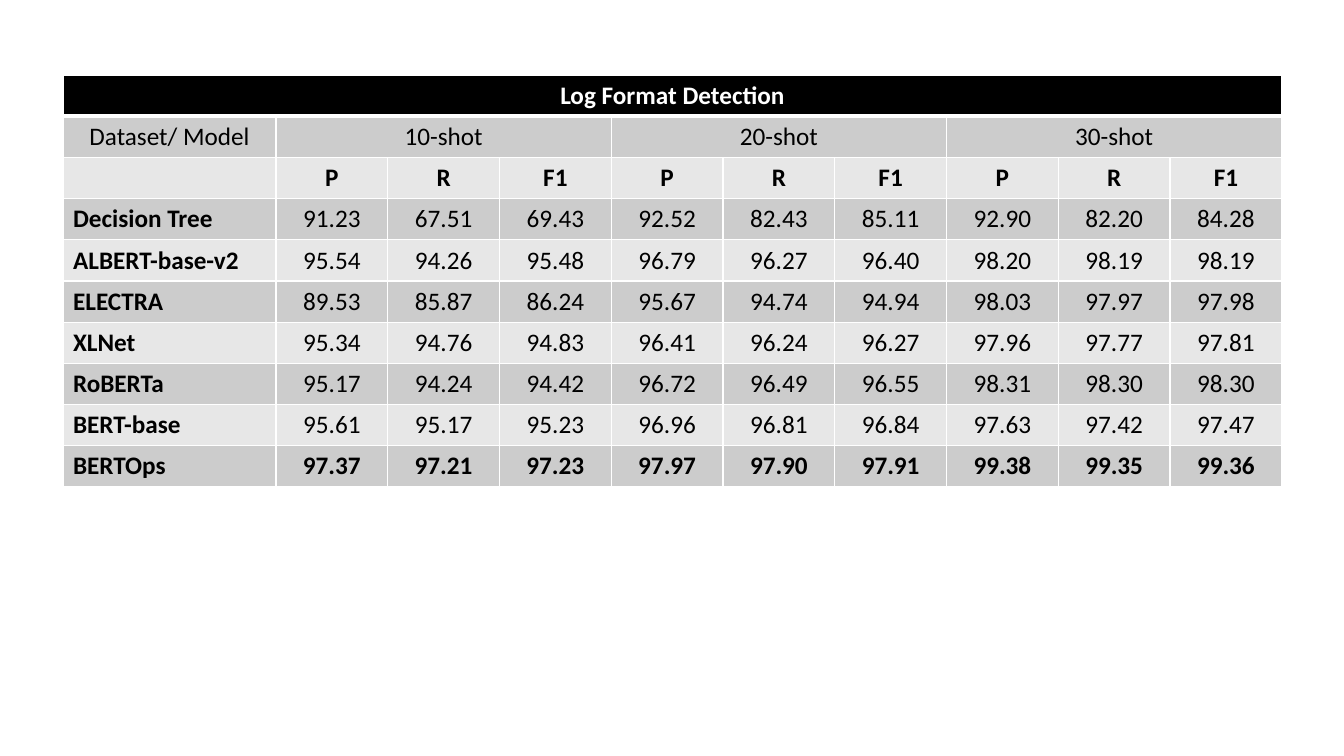
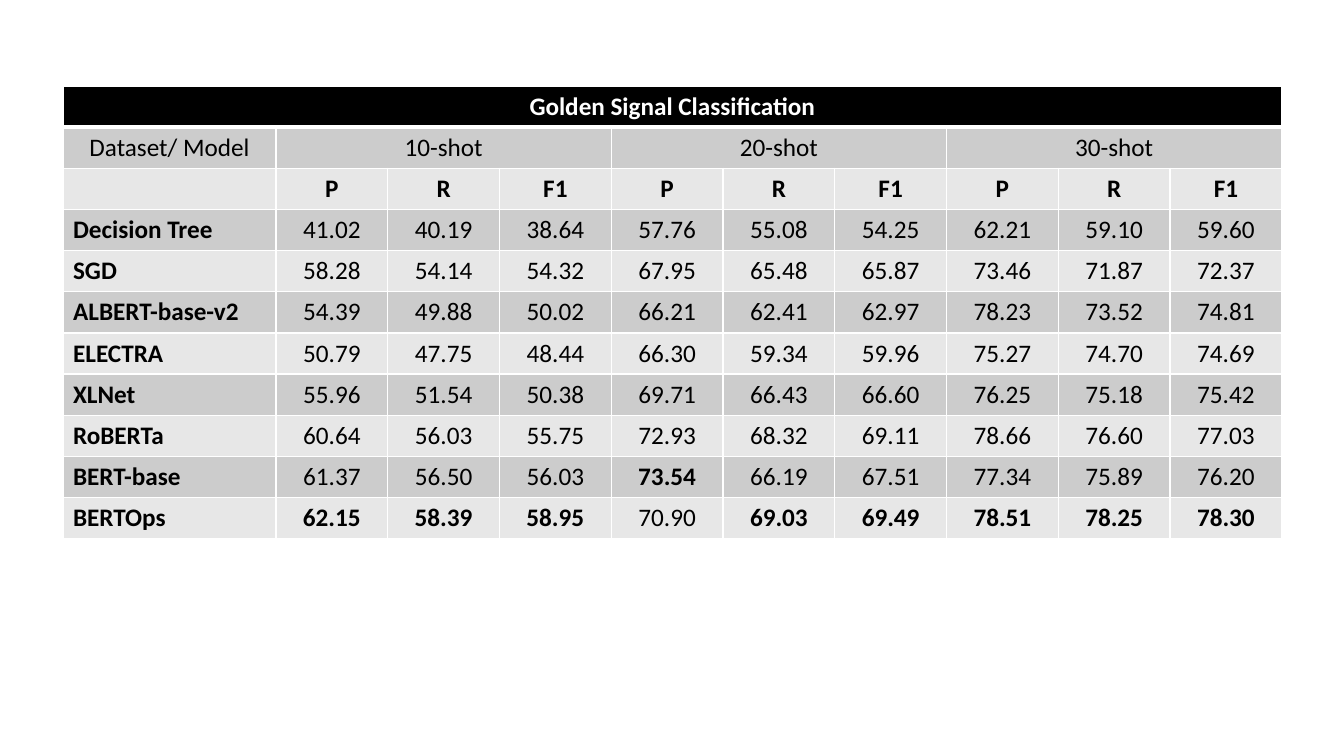
from lxml import etree
from pptx import Presentation
from pptx import util as u
from pptx.dml import color as c
from pptx.enum import text
from pptx.oxml import ns

PIXEL = 914400 / 100.8
BLACK, WHITE, DARK_BAND, LIGHT_BAND = "000000", "FFFFFF", "CCCCCC", "E7E7E7"
LEFT, WIDTH, NAME_WIDTH = 63, 1219, 213
SHOTS = ["10-shot", "20-shot", "30-shot"]
MEASURES = ["P", "R", "F1"]
COLUMNS = 1 + len(SHOTS) * len(MEASURES)

TABLES = [
    ("Log Format Detection", 75, 412, """
Decision Tree|91.23 67.51 69.43 92.52 82.43 85.11 92.90 82.20 84.28
ALBERT-base-v2|95.54 94.26 95.48 96.79 96.27 96.40 98.20 98.19 98.19
ELECTRA|89.53 85.87 86.24 95.67 94.74 94.94 98.03 97.97 97.98
XLNet|95.34 94.76 94.83 96.41 96.24 96.27 97.96 97.77 97.81
RoBERTa|95.17 94.24 94.42 96.72 96.49 96.55 98.31 98.30 98.30
BERT-base|95.61 95.17 95.23 96.96 96.81 96.84 97.63 97.42 97.47
BERTOps|*97.37 *97.21 *97.23 *97.97 *97.90 *97.91 *99.38 *99.35 *99.36
"""),
    ("Golden Signal Classification", 86, 453, """
Decision Tree|41.02 40.19 38.64 57.76 55.08 54.25 62.21 59.10 59.60
SGD|58.28 54.14 54.32 67.95 65.48 65.87 73.46 71.87 72.37
ALBERT-base-v2|54.39 49.88 50.02 66.21 62.41 62.97 78.23 73.52 74.81
ELECTRA|50.79 47.75 48.44 66.30 59.34 59.96 75.27 74.70 74.69
XLNet|55.96 51.54 50.38 69.71 66.43 66.60 76.25 75.18 75.42
RoBERTa|60.64 56.03 55.75 72.93 68.32 69.11 78.66 76.60 77.03
BERT-base|61.37 56.50 56.03 *73.54 66.19 67.51 77.34 75.89 76.20
BERTOps|*62.15 *58.39 *58.95 70.90 *69.03 *69.49 *78.51 *78.25 *78.30
"""),
]


def px(length):
    return u.Emu(round(length * PIXEL))


def style_cell(cell, fill, top_width, bottom_width):
    cell.fill.solid()
    cell.fill.fore_color.rgb = c.RGBColor.from_string(fill)
    cell.vertical_anchor = text.MSO_ANCHOR.MIDDLE
    properties = cell._tc.get_or_add_tcPr()
    widths = {"lnL": 1, "lnR": 1, "lnT": top_width, "lnB": bottom_width}
    for position, (side, width) in enumerate(widths.items()):
        border = etree.Element(ns.qn(f"a:{side}"), w=str(u.Pt(width)))
        solid = etree.SubElement(border, ns.qn("a:solidFill"))
        etree.SubElement(solid, ns.qn("a:srgbClr"), val=WHITE)
        properties.insert(position, border)


presentation = Presentation()
presentation.slide_width = px(1344)
presentation.slide_height = px(756)

for title, top, height, results in TABLES:
    rows = [["*" + title], ["Dataset/ Model"], [""] + ["*" + name for name in MEASURES] * len(SHOTS)]
    for shot in SHOTS:
        rows[1] += [shot] + [""] * (len(MEASURES) - 1)
    for line in results.strip().splitlines():
        model, scores = line.split("|")
        rows.append(["*" + model] + scores.split())

    slide = presentation.slides.add_slide(presentation.slide_layouts[6])
    table = slide.shapes.add_table(len(rows), COLUMNS, px(LEFT), px(top), px(WIDTH), px(height)).table
    table.first_row = False
    table.horz_banding = False
    for index, column in enumerate(table.columns):
        column.width = px((WIDTH - NAME_WIDTH) / (COLUMNS - 1) if index else NAME_WIDTH)

    table.cell(0, 0).merge(table.cell(0, COLUMNS - 1))
    for first in range(1, COLUMNS, len(MEASURES)):
        table.cell(1, first).merge(table.cell(1, first + len(MEASURES) - 1))

    for row_index, row in enumerate(rows):
        fill = BLACK if row_index == 0 else DARK_BAND if row_index % 2 else LIGHT_BAND
        for column_index in range(COLUMNS):
            style_cell(table.cell(row_index, column_index), fill,
                       3 if row_index == 1 else 1, 3 if row_index == 0 else 1)
        for column_index, value in enumerate(row):
            if not value:
                continue
            paragraph = table.cell(row_index, column_index).text_frame.paragraphs[0]
            is_model = row_index > 2 and column_index == 0
            paragraph.alignment = text.PP_ALIGN.LEFT if is_model else text.PP_ALIGN.CENTER
            run = paragraph.add_run()
            run.text = value.lstrip("*")
            font_format = {"name": "Calibri", "size": u.Pt(18), "bold": value.startswith("*")}
            for attribute, setting in font_format.items():
                setattr(run.font, attribute, setting)
            run.font.color.rgb = c.RGBColor.from_string(WHITE if row_index == 0 else BLACK)

presentation.save("out.pptx")
